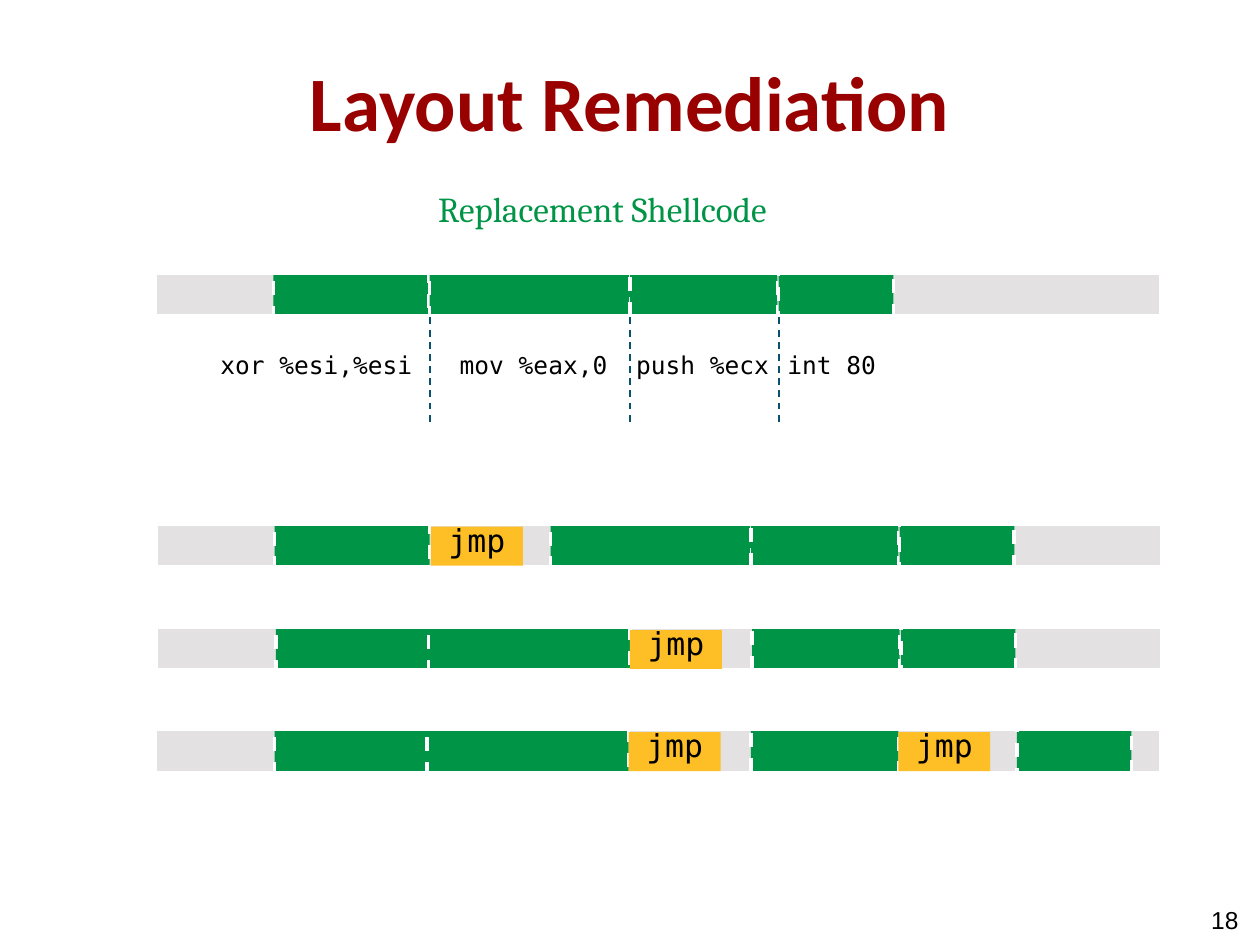
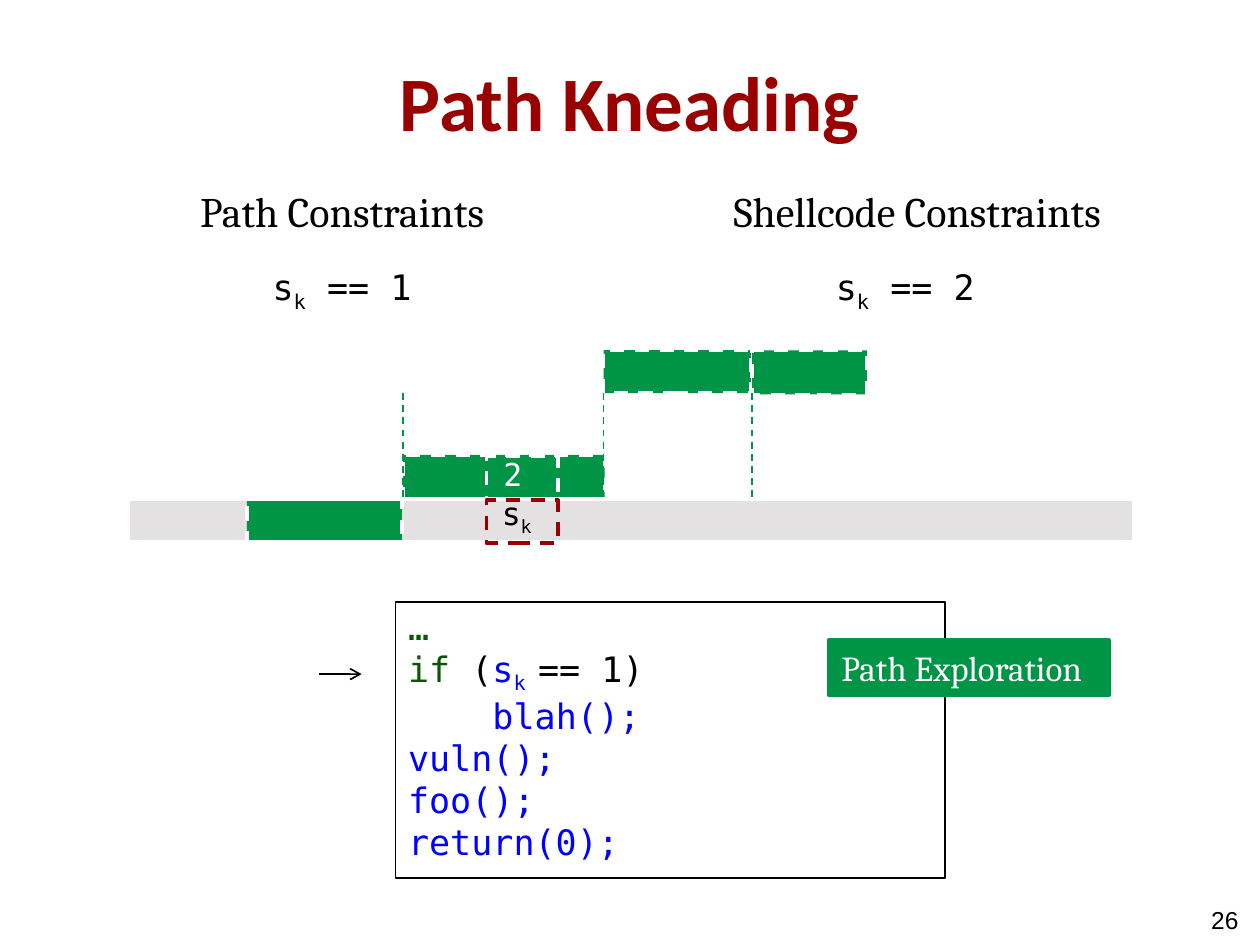
from lxml import etree
from pptx import Presentation
from pptx import util as u
from pptx.dml.color import RGBColor
from pptx.enum import dml, shapes, text
from pptx.oxml.ns import qn

PX = 9144  # 100 px to the inch

COLORS = {
    "title": "990000", "black": "000000", "white": "FFFFFF", "green": "009446",
    "track": "E3E1E1", "jump": "FEBE26", "guide": "0A5170",
    "keyword": "0B5601", "code": "0000FF",
}
MONO, SERIF = "DejaVu Sans Mono", "Cambria"
LOW_INSETS = (10, 5, 10, 15)

TRACK_WIDTH, TRACK_HEIGHT = 798, 34
BLOCK_SIZES = [(123, 34), (160, 35), (117, 34), (91, 35)]
JUMP_SIZE = (73, 31)
GUIDE_LENGTH = 84

# Slide 1: each row has a track, its shellcode blocks and its jumps
LAYOUT_ROWS = [
    {"left": 123, "top": 217, "blocks": [217, 341, 500, 618], "jumps": []},
    {"left": 124, "top": 416, "blocks": [218, 437, 596, 714], "jumps": [342]},
    {"left": 124, "top": 498, "blocks": [219, 340, 597, 715], "jumps": [500]},
    {"left": 123, "top": 579, "blocks": [218, 339, 596, 807], "jumps": [499, 713]},
]
INSTRUCTIONS = [
    ("xor %esi,%esi", 165, 173), ("mov %eax,0", 355, 139),
    ("push %ecx", 495, 127), ("int 80", 615, 91),
]

# Slide 2: runs are (text, colour) or (text, colour, "sub")
CONSTRAINTS = [
    {"heading": "Path Constraints", "heading_at": (142, 142, 259, 50),
     "value": " == 1", "value_at": (115, 211, 313, 48)},
    {"heading": "Shellcode Constraints", "heading_at": (556, 142, 344, 50),
     "value": " == 2", "value_at": (562, 211, 313, 48)},
]
KNEADED_BLOCKS = [(196, 396), (320, 361), (479, 278), (597, 278)]
CODE = [
    [("…", "keyword")],
    [("if ", "keyword"), ("(", "black"), ("s", "code"), ("k ", "code", "sub"),
     ("== 1)", "black")],
    [("    ", "black"), ("blah();", "code")],
    [("vuln();", "code")],
    [("foo();", "code")],
    [("return(0);", "code")],
]


def rgb(name):
    return RGBColor.from_string(COLORS[name])


def emu(*lengths):
    return [length * PX for length in lengths]


def write(shape, paragraphs, size, font, align="LEFT", insets=(10, 5, 10, 5),
          anchor="TOP", wrap=True, bold=False):
    """Fill a shape with paragraphs, each a list of runs."""
    frame = shape.text_frame
    (frame.margin_left, frame.margin_top,
     frame.margin_right, frame.margin_bottom) = emu(*insets)
    frame.word_wrap = wrap
    frame.auto_size = (text.MSO_AUTO_SIZE.NONE if wrap
                       else text.MSO_AUTO_SIZE.SHAPE_TO_FIT_TEXT)
    frame.vertical_anchor = text.MSO_ANCHOR[anchor]
    for index, runs in enumerate(paragraphs):
        paragraph = frame.add_paragraph() if index else frame.paragraphs[0]
        paragraph.alignment = text.PP_ALIGN[align]
        for content, color, *sub in runs:
            run = paragraph.add_run()
            run.text = content
            run.font.size = u.Pt(size)
            run.font.name = font
            run.font.bold = bold
            run.font.color.rgb = rgb(color)
            if sub:
                run.font._element.set("baseline", "-25000")


def add_text(slide, box, paragraphs, size, font, **style):
    write(slide.shapes.add_textbox(*emu(*box)), paragraphs, size, font, **style)


def add_label(slide, box, content, size, font, color="black", **style):
    add_text(slide, box, [[(content, color)]], size, font, wrap=False, **style)


def style_line(line, color, width, dashed=False):
    line.color.rgb = rgb(color)
    line.width = u.Pt(width)
    if dashed:
        line.dash_style = dml.MSO_LINE.DASH


def add_box(slide, box, fill=None, line=None, width=2, dashed=False):
    shape = slide.shapes.add_shape(shapes.MSO_SHAPE.RECTANGLE, *emu(*box))
    shape.shadow.inherit = False
    if fill:
        shape.fill.solid()
        shape.fill.fore_color.rgb = rgb(fill)
    else:
        shape.fill.background()
    if line:
        style_line(shape.line, line, width, dashed)
    else:
        shape.line.fill.background()
    return shape


def add_line(slide, start, end, color, dashed=False, arrow=False):
    connector = slide.shapes.add_connector(
        shapes.MSO_CONNECTOR.STRAIGHT, *emu(*start, *end))
    style_line(connector.line, color, 1, dashed)
    if arrow:
        etree.SubElement(connector.line._get_or_add_ln(), qn("a:tailEnd"), type="arrow")
    etree.SubElement(connector._element.spPr, qn("a:effectLst"))


def add_guides(slide, lefts, top, color):
    for left in lefts:
        add_line(slide, (left, top), (left, top + GUIDE_LENGTH), color, dashed=True)


def add_memory(slide, left, top, blocks):
    """Draw a track, the shellcode blocks at their places and the track's border."""
    track = (left, top, TRACK_WIDTH, TRACK_HEIGHT)
    add_box(slide, track, "track", "white")
    for place, size in zip(blocks, BLOCK_SIZES):
        add_box(slide, (*place, *size), "green", "white", dashed=True)
    add_box(slide, track, line="white")


def add_slide(presentation, title, number):
    slide = presentation.slides.add_slide(presentation.slide_layouts[6])
    add_text(slide, (50, 17, 900, 125), [[(title, "title")]], 44, "Calibri",
             align="CENTER", anchor="MIDDLE", insets=(10, 10, 10, 10), bold=True)
    add_text(slide, (750, 710, 233, 40), [[(number, "black")]], 14, "Arial",
             align="RIGHT", anchor="MIDDLE", insets=(0, 0, 0, 0))
    return slide


def build_layout_remediation(presentation):
    slide = add_slide(presentation, "Layout Remediation", "18")
    add_label(slide, (338, 144, 297, 44), "Replacement Shellcode", 20, SERIF, "green")
    for row in LAYOUT_ROWS:
        top = row["top"]
        add_memory(slide, row["left"], top, [(left, top) for left in row["blocks"]])
        for left in row["jumps"]:
            jump = add_box(slide, (left, top + 2, *JUMP_SIZE), "jump")
            write(jump, [[("jmp", "black")]], 18, MONO, align="CENTER",
                  anchor="MIDDLE", insets=LOW_INSETS)
    add_guides(slide, LAYOUT_ROWS[0]["blocks"][1:], 252, "guide")
    for instruction, left, width in INSTRUCTIONS:
        add_label(slide, (left, 273, width, 34), instruction, 14, MONO)


def build_path_kneading(presentation):
    slide = add_slide(presentation, "Path Kneading", "26")
    centred = {"align": "CENTER", "anchor": "MIDDLE"}
    for constraint in CONSTRAINTS:
        add_label(slide, constraint["heading_at"], constraint["heading"], 24, SERIF,
                  align="CENTER")
        runs = [("s", "black"), ("k", "black", "sub"), (constraint["value"], "black")]
        add_text(slide, constraint["value_at"], [runs], 20, MONO,
                 insets=LOW_INSETS, **centred)

    add_memory(slide, 102, 396, KNEADED_BLOCKS)
    add_guides(slide, [left for left, _ in KNEADED_BLOCKS[1:]], 312, "green")
    wanted = add_box(slide, (386, 362, 57, 34), line="white", dashed=True)
    write(wanted, [[("2 ", "white")]], 18, MONO, insets=(10, 10, 10, 15), **centred)
    symbol = add_box(slide, (386, 397, 57, 34), line="title", dashed=True)
    write(symbol, [[("s", "black"), ("k ", "black", "sub")]], 18, MONO,
          insets=LOW_INSETS, **centred)

    code_box = add_box(slide, (314, 478, 436, 219), line="black", width=1)
    write(code_box, CODE, 20, MONO, anchor="MIDDLE", insets=LOW_INSETS)
    add_line(slide, (253, 535), (287, 535), "black", arrow=True)
    exploration = add_box(slide, (658, 508, 222, 44), "green", "green")
    write(exploration, [[("Path Exploration", "white")]], 20, SERIF, wrap=False)


def main():
    presentation = Presentation()
    presentation.slide_width, presentation.slide_height = emu(1000, 750)
    build_layout_remediation(presentation)
    build_path_kneading(presentation)
    presentation.save("out.pptx")


if __name__ == "__main__":
    main()
